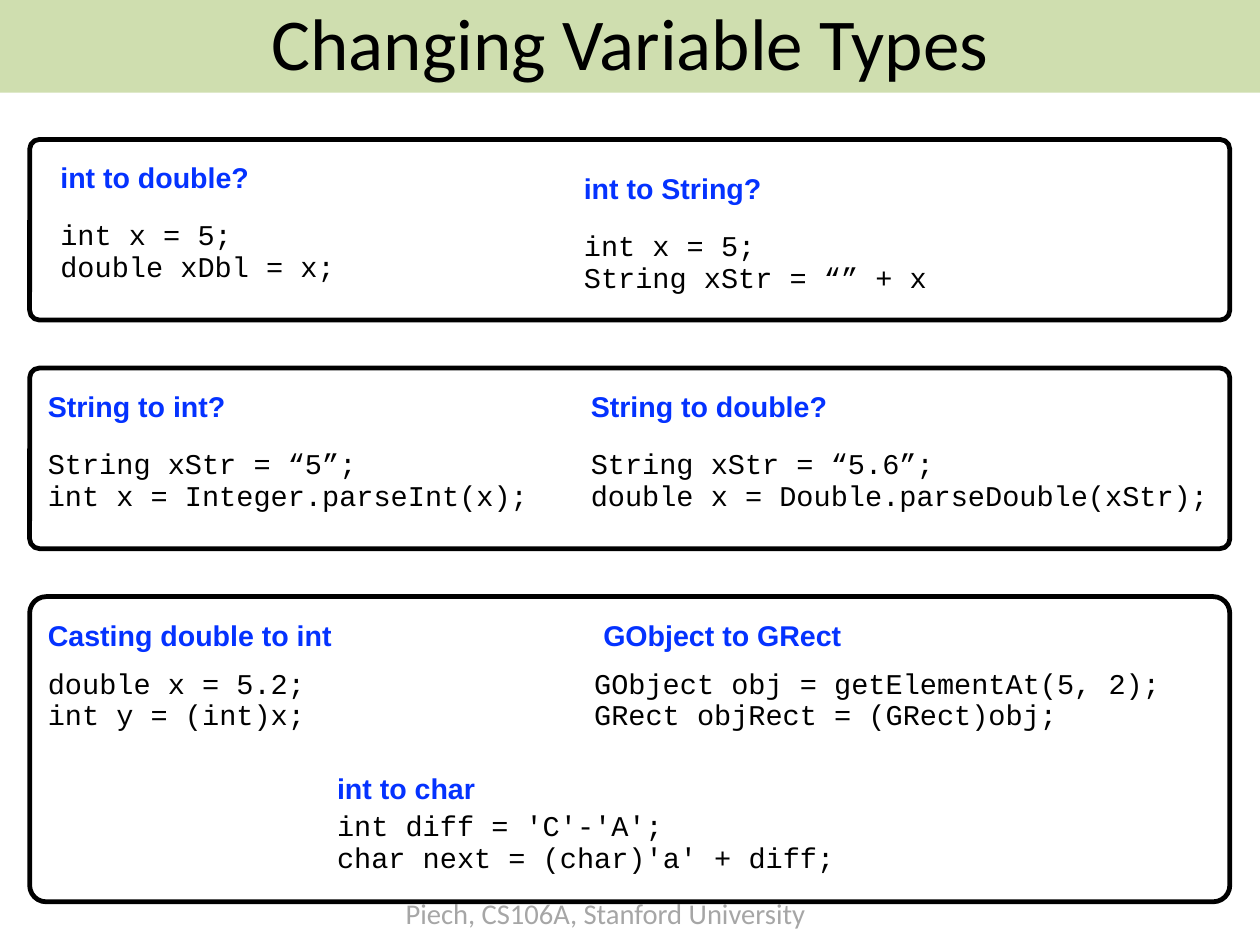
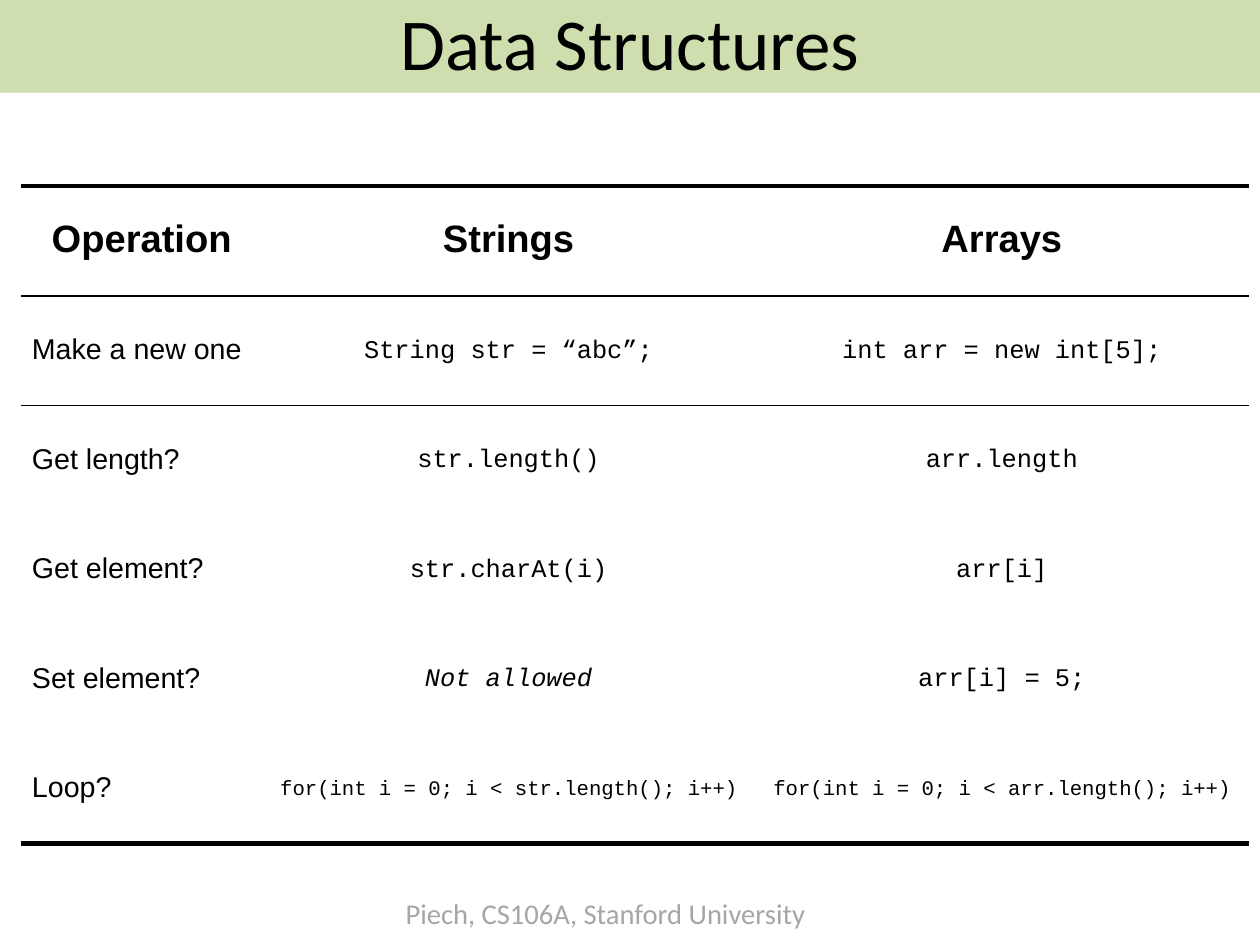
from dataclasses import dataclass

from lxml import etree
from pptx import Presentation
from pptx.dml.color import RGBColor
from pptx.enum.shapes import MSO_SHAPE
from pptx.enum.text import MSO_ANCHOR, MSO_AUTO_SIZE, PP_ALIGN
from pptx.oxml.ns import qn
from pptx.util import Inches, Pt

ROUND = MSO_SHAPE.ROUNDED_RECTANGLE
MIDDLE = MSO_ANCHOR.MIDDLE
GROW, FIXED = MSO_AUTO_SIZE.SHAPE_TO_FIT_TEXT, MSO_AUTO_SIZE.NONE
LEFT, CENTER = PP_ALIGN.LEFT, PP_ALIGN.CENTER
NO_GRID = "{2D5ABB26-0587-4C30-8999-92F81FD0307C}"


def look(name, size, bold=False, italic=False):
    return {"name": name, "size": Pt(size), "bold": bold, "italic": italic}


@dataclass(frozen=True)
class Theme:
    black = RGBColor.from_string("000000")
    white = RGBColor.from_string("FFFFFF")
    blue = RGBColor.from_string("0432FF")
    gray = RGBColor.from_string("A6A6A6")
    green = RGBColor.from_string("CFDEAF")
    title = look("Calibri", 46)
    footer = look("Calibri", 18)
    label = look("Arial", 18, bold=True)
    code = look("Courier New", 18)
    header = look("Arial", 24, bold=True)
    row = look("Arial", 18)
    cell = look("Courier New", 16)
    note = look("Courier New", 16, italic=True)
    loop = look("Courier New", 13)
    spacing = 0.93


THEME = Theme()
# The page is 28 by 21 centimetres
WIDTH, HEIGHT = 28 / 2.54, 21 / 2.54
BAND = 0.81

# Panels: height, then snippets as (left, label drop, label width,
# code left, code drop, code width, label, code lines, code height if not 0.66)
PANEL_TOP, PANEL_STEP = 1.22, 2.0
PANELS = [
    (1.58, [
        (0.43, 0.16, 1.87, 0.43, 0.66, 2.64, "int to double?",
         ["int x = 5;", "double xDbl = x;"]),
        (5.01, 0.25, 1.77, 5.01, 0.75, 3.25, "int to String?",
         ["int x = 5;", "String xStr = “” + x"]),
    ]),
    (1.58, [
        (0.32, 0.16, 1.77, 0.32, 0.66, 4.47, "String to int?",
         ["String xStr = “5”;", "int x = Integer.parseInt(x);"]),
        (5.07, 0.16, 2.29, 5.07, 0.66, 5.69, "String to double?",
         ["String xStr = “5.6”;", "double x = Double.parseDouble(xStr);"]),
    ]),
    (2.67, [
        (0.32, 0.16, 2.71, 0.32, 0.58, 2.49, "Casting double to int",
         ["double x = 5.2;", "int y = (int)x;"]),
        (5.18, 0.16, 2.31, 5.1, 0.58, 5.24, "GObject to GRect",
         ["GObject obj = getElementAt(5, 2);", "GRect objRect = (GRect)obj;"]),
        (2.85, 1.5, 1.42, 2.85, 1.83, 4.78, "int to char",
         ["int diff = 'C'-'A';", "char next = (char)'a' + diff;"], 0.95),
    ]),
]

# Table content, and line widths by row edge
COLS = [2.12, 4.3, 4.33]
ROWS = [
    ["Operation", "Strings", "Arrays"],
    ["Make a new one", "String str = “abc”;", "int arr = new int[5];"],
    ["Get length?", "str.length()", "arr.length"],
    ["Get element?", "str.charAt(i)", "arr[i]"],
    ["Set element?", "Not allowed", "arr[i] = 5;"],
    ["Loop?", "for(int i = 0; i < str.length(); i++)",
     "for(int i = 0; i < arr.length(); i++)"],
]
ROW_STEP = 5.75 / len(ROWS)
RULES = {0: 3, 1: 1, len(ROWS): 3}


def place(shape, left, top, width, height):
    box = {"left": left, "top": top, "width": width, "height": height}
    for key, value in box.items():
        setattr(shape, key, Inches(value))


def write(frame, lines, form, color, align=LEFT):
    """Fill a text frame, one paragraph a line."""
    for i, line in enumerate(lines):
        para = frame.paragraphs[0] if i == 0 else frame.add_paragraph()
        para.alignment = align
        para.line_spacing = THEME.spacing
        run = para.add_run()
        run.text = line
        run.font.color.rgb = color
        for key, value in form.items():
            setattr(run.font, key, value)


def add_text(slide, left, top, width, height, lines, form, color):
    box = slide.shapes.add_textbox(*map(Inches, (left, top, width, height)))
    box.text_frame.word_wrap = False
    box.text_frame.auto_size = GROW
    write(box.text_frame, lines, form, color)


def add_slide(prs, title):
    """Start a slide with its title band and footer."""
    slide = prs.slides.add_slide(prs.slide_layouts[5])
    band = slide.shapes.title
    place(band, 0, 0, WIDTH, BAND)
    band.fill.solid()
    band.fill.fore_color.rgb = THEME.green
    band.text_frame.vertical_anchor = MIDDLE
    band.text_frame.auto_size = FIXED
    write(band.text_frame, [title], THEME.title, THEME.black, CENTER)
    add_text(slide, 3.45, 7.82, 3.74, 0.38,
             ["Piech, CS106A, Stanford University"], THEME.footer, THEME.gray)
    return slide


def add_panel(slide, top, height):
    panel = slide.shapes.add_shape(
        ROUND, *map(Inches, (0.26, top, 10.5, height)))
    panel.adjustments[0] = 0.054
    panel.shadow.inherit = False
    panel.fill.solid()
    panel.fill.fore_color.rgb = THEME.white
    panel.line.color.rgb = THEME.black
    panel.line.width = Pt(3)


def add_code(slide, top, left, drop, width, code_left, code_drop, code_width,
             label, lines, height=0.66):
    """Put a blue label above its code."""
    add_text(slide, left, top + drop, width, 0.38,
             [label], THEME.label, THEME.blue)
    add_text(slide, code_left, top + code_drop, code_width, height,
             lines, THEME.code, THEME.black)


def add_rule(cell, tag, width):
    """Draw one border, ahead of the cell's fill."""
    props = cell._tc.get_or_add_tcPr()
    line = etree.Element(qn(tag), w=str(Pt(width)))
    fill = etree.SubElement(line, qn("a:solidFill"))
    etree.SubElement(fill, qn("a:srgbClr"), val=str(THEME.black))
    props.insert(len(props) - 1, line)


def cell_form(r, c):
    if r == 0:
        return THEME.header
    if c == 0:
        return THEME.row
    if r == len(ROWS) - 1:
        return THEME.loop
    return THEME.note if ROWS[r][c] == "Not allowed" else THEME.cell


def add_grid(slide, left, top):
    size = (left, top, sum(COLS), ROW_STEP * len(ROWS))
    grid = slide.shapes.add_table(
        len(ROWS), len(COLS), *map(Inches, size)).table
    grid.first_row = grid.horz_banding = False
    grid._tbl.tblPr.find(qn("a:tableStyleId")).text = NO_GRID
    for col, width in zip(grid.columns, COLS):
        col.width = Inches(width)
    for r, texts in enumerate(ROWS):
        grid.rows[r].height = Inches(ROW_STEP)
        for c, text in enumerate(texts):
            cell = grid.cell(r, c)
            cell.vertical_anchor = MIDDLE
            cell.fill.solid()
            cell.fill.fore_color.rgb = THEME.white
            for tag, edge in (("a:lnT", r), ("a:lnB", r + 1)):
                if edge in RULES:
                    add_rule(cell, tag, RULES[edge])
            write(cell.text_frame, [text], cell_form(r, c), THEME.black,
                  LEFT if r and c == 0 else CENTER)


def main():
    prs = Presentation()
    prs.slide_width = Inches(WIDTH)
    prs.slide_height = Inches(HEIGHT)

    # Type changes
    slide = add_slide(prs, "Changing Variable Types")
    for i, (height, codes) in enumerate(PANELS):
        top = PANEL_TOP + i * PANEL_STEP
        add_panel(slide, top, height)
        for code in codes:
            add_code(slide, top, *code)

    # Strings beside arrays
    slide = add_slide(prs, "Data Structures")
    add_grid(slide, 0.18, 1.63)

    prs.save("out.pptx")


if __name__ == "__main__":
    main()
